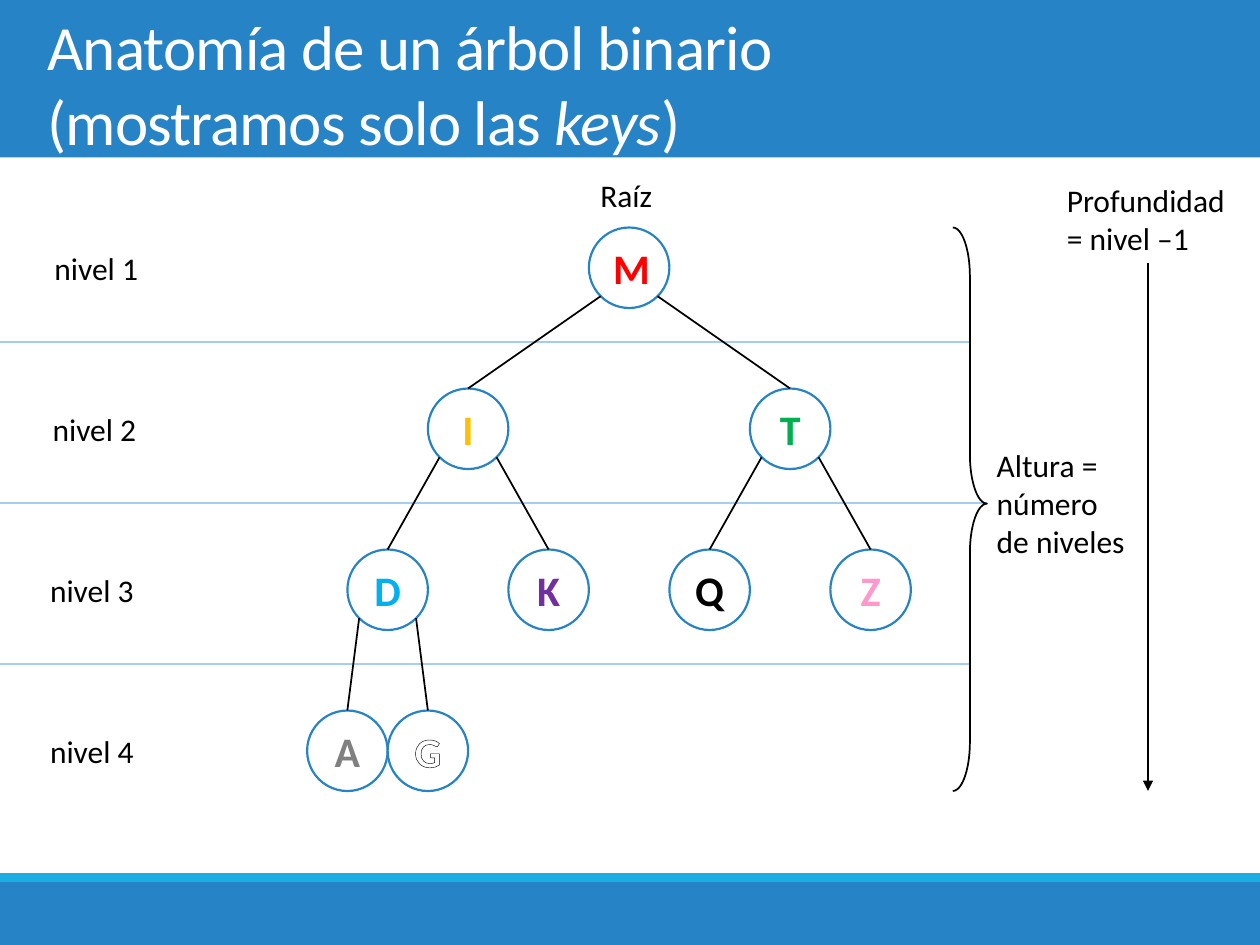
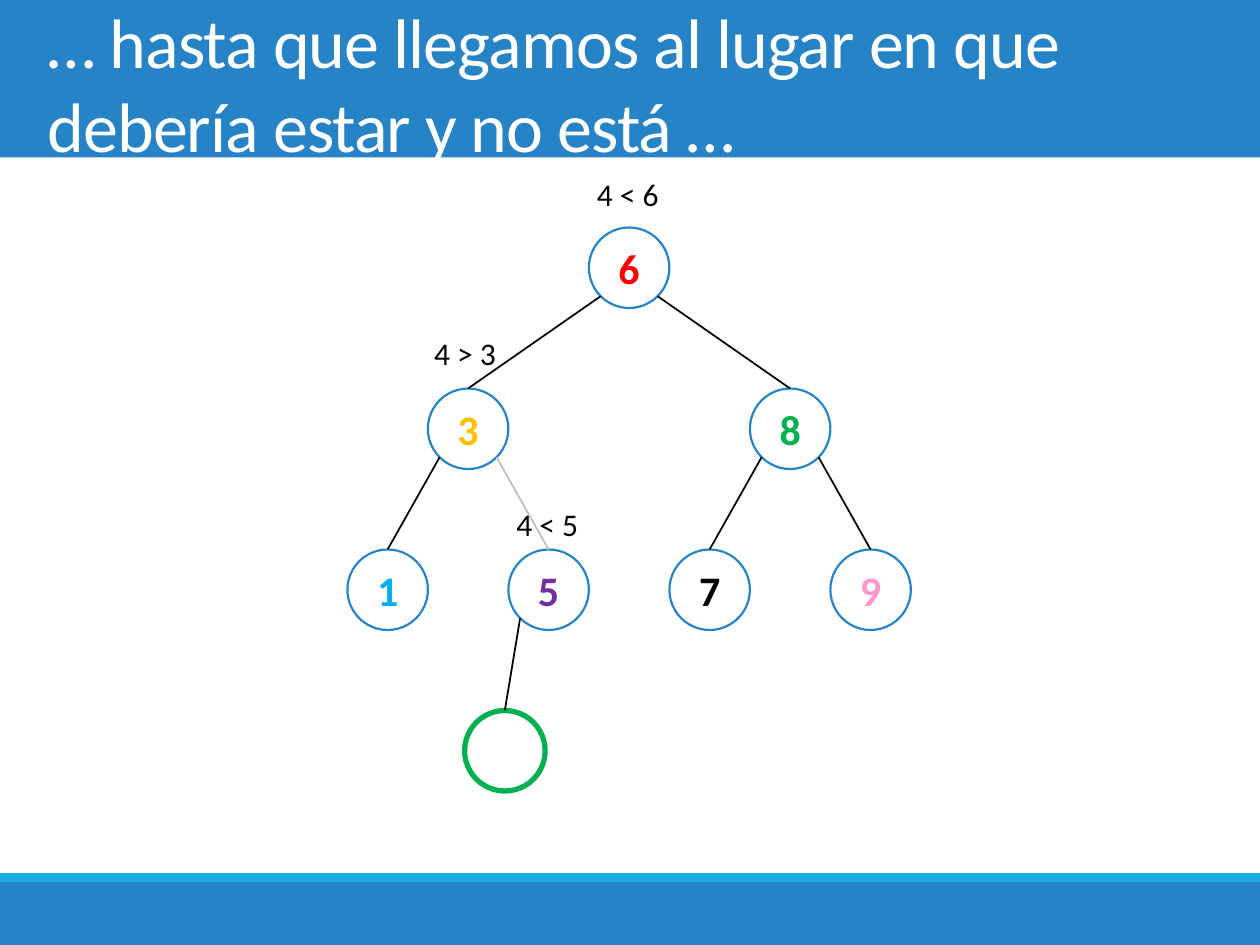
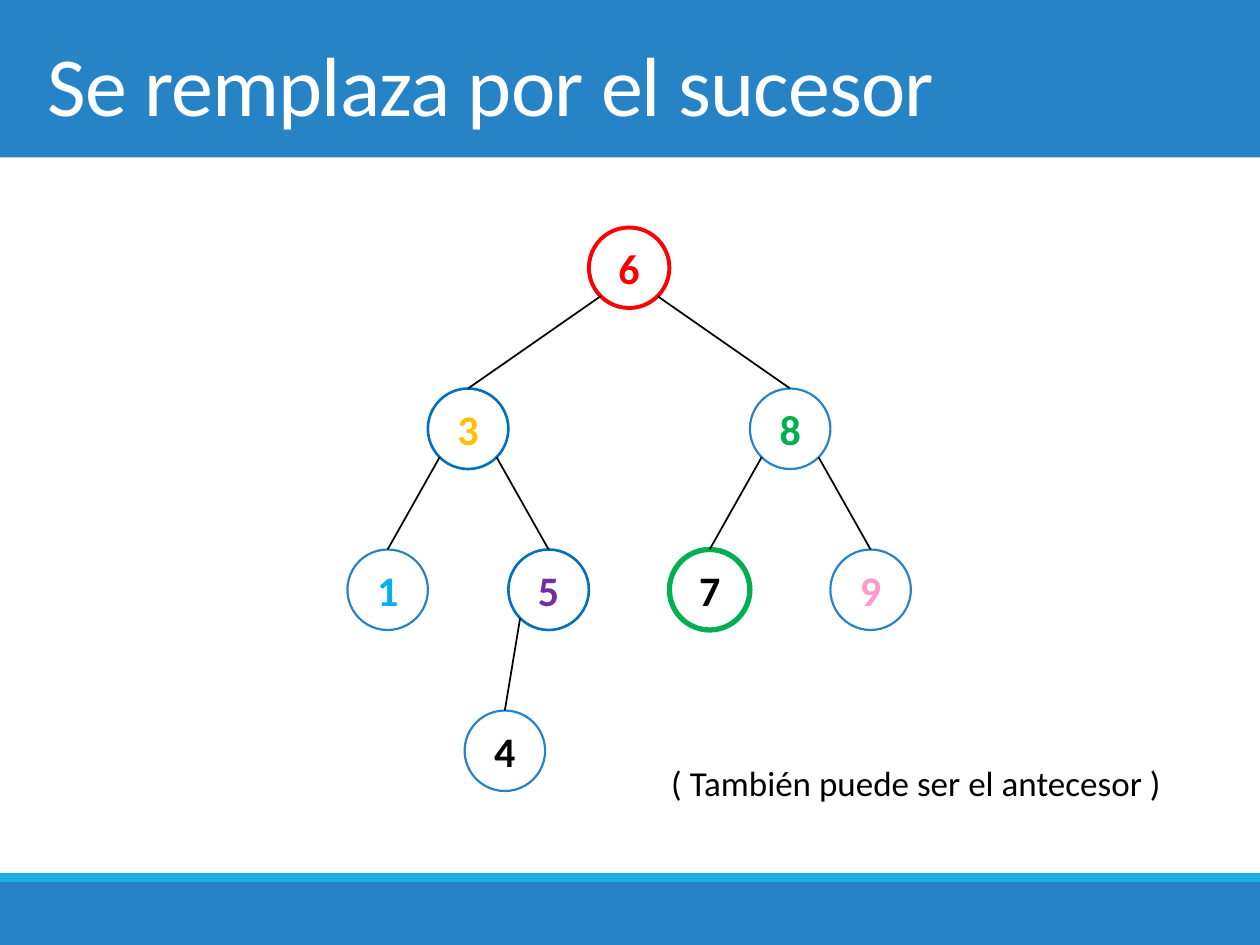
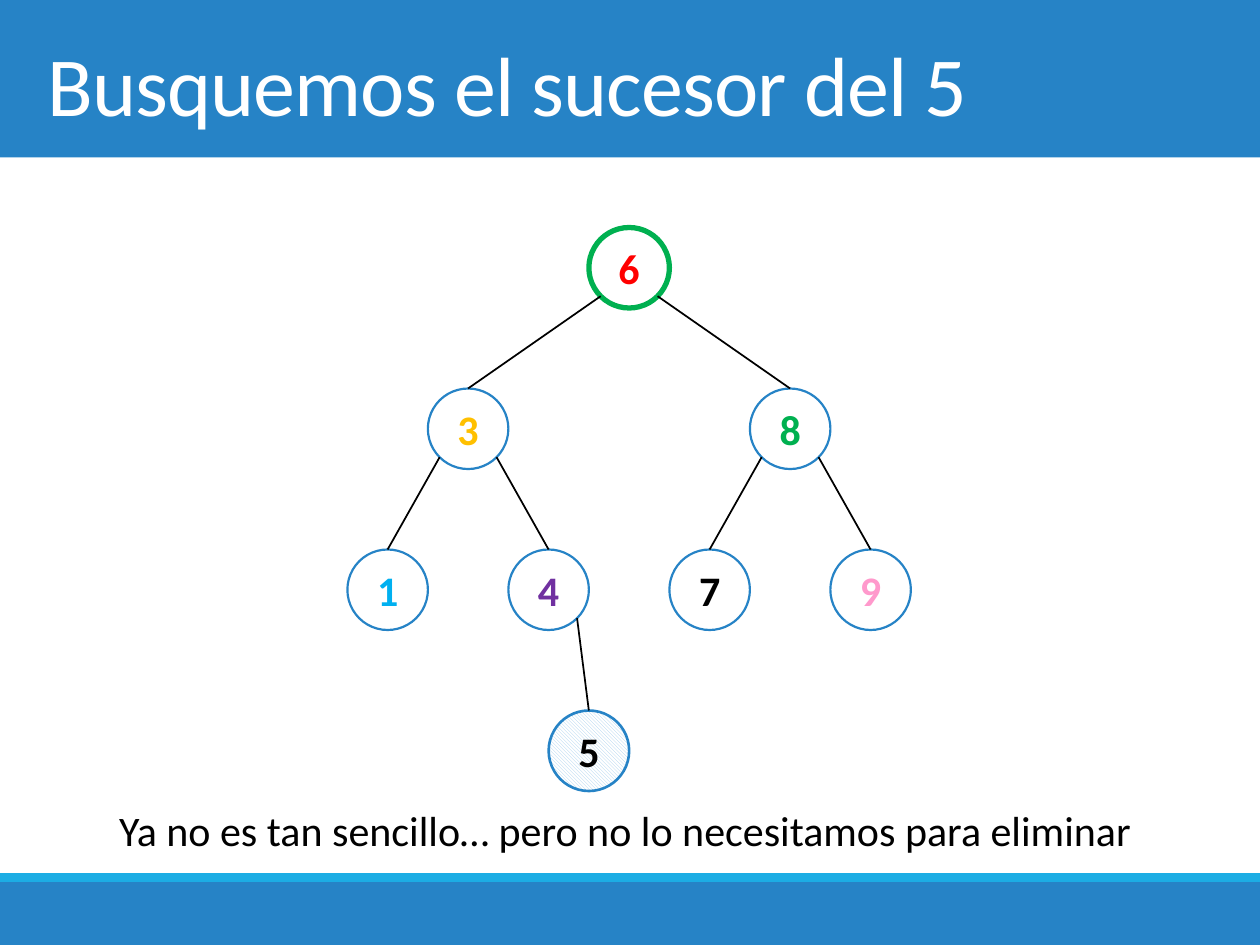
"""Build four slides that explain binary search trees."""

from dataclasses import dataclass

from lxml.etree import SubElement
from pptx import Presentation
from pptx.dml.color import RGBColor
from pptx.enum.dml import MSO_PATTERN
from pptx.enum.shapes import MSO_CONNECTOR, MSO_SHAPE
from pptx.enum.text import MSO_ANCHOR, MSO_AUTO_SIZE, PP_ALIGN
from pptx.oxml import parse_xml
from pptx.oxml.ns import nsdecls, qn
from pptx.util import Pt


@dataclass(frozen=True)
class Theme:
    font: str = "Calibri"
    blue: str = "2683C6"
    cyan: str = "1CADE4"
    pale: str = "A3CEED"
    deep: str = "0070C0"
    white: str = "FFFFFF"
    black: str = "000000"
    red: str = "FF0000"
    green: str = "00B050"
    silver: str = "BFBFBF"
    label: int = 18
    note: int = 20
    key: int = 24
    thin: float = 1
    ring: float = 1.25


THEME = Theme()
KEY_COLOURS = {
    "": THEME.red, "L": "FFC000", "R": THEME.green,
    "LL": "00B0F0", "LR": "7030A0", "RL": THEME.black, "RR": "FF99CC",
    "LLL": "808080", "LLR": THEME.white,
}

WIDTH, HEIGHT = 720, 540
BANDS = [(0, 90, THEME.blue), (504, 36, THEME.blue), (499, 5, THEME.cyan)]
ROOT_X, ROOT_Y, STEP, DIAMETER = 359.5, 153, 92, 46
RADIUS = DIAMETER / 2
CORNER = RADIUS * 0.5 ** 0.5

LEVEL_LEFTS = (24, 23, 21.5, 21.5)
LEVEL_TOP = 139
RULE_TOP, RULE_ENDS = 195.5, (554.5, 564, 554.5)

SLIDES = [
    {
        "title": [("Anatomía de un árbol binario\v(mostramos solo las ", False),
                  ("keys", True), (")", False)],
        "size": 36,
        "levels": True,
        "keys": {"": "M", "L": "I", "R": "T", "LL": "D", "LR": "K",
                 "RL": "Q", "RR": "Z", "LLL": "A", "LLR": "G"},
        "outlined": ["LLR"],
        "labels": [
            (["Raíz"], 336, 97, 45, THEME.label, False),
            (["Altura =", "número", "de niveles"], 562.5, 251.5, 88.5, THEME.label, False),
            (["Profundidad", "= nivel –1"], 602.5, 100, 106, THEME.label, False),
        ],
    },
    {
        "title": [("… hasta que llegamos al lugar en que debería estar y no está …", False)],
        "size": 40,
        "keys": {"": "6", "L": "3", "R": "8", "LL": "1", "LR": "5",
                 "RL": "7", "RR": "9", "LRL": ""},
        "rings": {"LRL": (THEME.green, 3)},
        "edges": {"LR": THEME.silver},
        "shifts": {"LRL": -2},
        "labels": [
            (["4 < 6"], 334, 96.5, 50.5, THEME.label, False),
            (["4 > 3"], 241, 187.5, 50.5, THEME.label, False),
            (["4 < 5"], 288, 285, 50.5, THEME.label, False),
        ],
    },
    {
        "title": [("Se remplaza por el sucesor", False)],
        "size": 48,
        "keys": {"": "6", "L": "3", "R": "8", "LL": "1", "LR": "5",
                 "RL": "7", "RR": "9", "LRL": "4"},
        "rings": {"": (THEME.red, 2.25), "L": (THEME.deep, 1.5),
                  "LR": (THEME.deep, 1.5), "RL": (THEME.green, 3)},
        "shifts": {"LRL": -2},
        "labels": [(["( También puede ser el antecesor )"], 376.5, 431.5, 296, THEME.note, True)],
    },
    {
        "title": [("Busquemos el sucesor del 5", False)],
        "size": 48,
        "keys": {"": "6", "L": "3", "R": "8", "LL": "1", "LR": "4",
                 "RL": "7", "RR": "9", "LRR": "5"},
        "rings": {"": (THEME.green, 3), "LRR": (THEME.blue, 1.5)},
        "hatched": ["LRR"],
        "labels": [(["Ya no es tan sencillo… pero no lo necesitamos para eliminar"],
                    61, 456, 598.5, THEME.key, False)],
    },
]


def rgb(colour):
    return RGBColor.from_string(colour)


def style_span(span, size, colour, bold=False, italic=False):
    font = span.font
    font.name, font.size, font.bold, font.italic = THEME.font, Pt(size), bold, italic
    font.color.rgb = rgb(colour)


def add_shape(page, kind, left, top, width, height, fill=None, line=None):
    shape = page.shapes.add_shape(kind, Pt(left), Pt(top), Pt(width), Pt(height))
    shape.shadow.inherit = False
    if fill:
        shape.fill.solid()
        shape.fill.fore_color.rgb = rgb(fill)
    else:
        shape.fill.background()
    if line:
        colour, weight = line
        shape.line.color.rgb = rgb(colour)
        shape.line.width = Pt(weight)
    else:
        shape.line.fill.background()
    return shape


def add_line(page, start, end, colour=THEME.black, arrow=False):
    points = [Pt(value) for value in (*start, *end)]
    line = page.shapes.add_connector(MSO_CONNECTOR.STRAIGHT, *points)
    line.line.color.rgb = rgb(colour)
    line.line.width = Pt(THEME.thin)
    properties = line._element.spPr
    if arrow:
        SubElement(properties.find(qn("a:ln")), qn("a:tailEnd"), type="triangle")
    SubElement(properties, qn("a:effectLst"))


def add_title(page, parts, size):
    box = page.shapes.add_textbox(Pt(20), 0, Pt(680.5), Pt(90))
    frame = box.text_frame
    frame.word_wrap = True
    frame.vertical_anchor = MSO_ANCHOR.MIDDLE
    frame.margin_top = Pt(8)
    para = frame.paragraphs[0]
    (first, _), *others = parts
    para.text = first
    for span in para.runs:
        style_span(span, size, THEME.white)
    for text, italic in others:
        span = para.add_run()
        span.text = text
        style_span(span, size, THEME.white, italic=italic)
    for span in para.runs:
        span.font._element.set("spc", "-50")


def add_label(page, lines, left, top, width, size, wrap):
    height = round(len(lines) * size * 1.22 + 7.2, 1)
    box = page.shapes.add_textbox(Pt(left), Pt(top), Pt(width), Pt(height))
    frame = box.text_frame
    frame.word_wrap = wrap
    frame.auto_size = MSO_AUTO_SIZE.SHAPE_TO_FIT_TEXT
    frame.text = "\n".join(lines)
    for para in frame.paragraphs:
        for span in para.runs:
            style_span(span, size, THEME.black)


def node_centre(route, shifts):
    x = ROOT_X + shifts.get(route, 0)
    for depth, side in enumerate(route):
        x += (STEP if side == "R" else -STEP) / 2 ** depth
    return x, ROOT_Y + STEP * len(route)


def add_node(page, content, route, key):
    x, y = node_centre(route, content.get("shifts", {}))
    ring = content.get("rings", {}).get(route, (THEME.blue, THEME.ring))
    node = add_shape(page, MSO_SHAPE.OVAL, x - RADIUS, y - RADIUS, DIAMETER, DIAMETER,
                     THEME.white, ring)
    if route in content.get("hatched", []):
        node.fill.patterned()
        node.fill.pattern = MSO_PATTERN.LIGHT_DOWNWARD_DIAGONAL
        node.fill.fore_color.rgb = rgb(THEME.pale)
        node.fill.back_color.rgb = rgb(THEME.white)
    if not key:
        return
    frame = node.text_frame
    frame.text = key
    frame.vertical_anchor = MSO_ANCHOR.MIDDLE
    para = frame.paragraphs[0]
    para.alignment = PP_ALIGN.CENTER
    span = para.runs[0]
    style_span(span, THEME.key, KEY_COLOURS.get(route, THEME.black), bold=True)
    if route in content.get("outlined", []):
        span.font._element.insert(0, parse_xml(
            f'<a:ln {nsdecls("a")} w="{Pt(0.75)}"><a:solidFill>'
            f'<a:srgbClr val="{THEME.black}"/></a:solidFill></a:ln>'))


def add_tree(page, content):
    shifts = content.get("shifts", {})
    for route, key in content["keys"].items():
        add_node(page, content, route, key)
    for route in content["keys"]:
        if route:
            x, y = node_centre(route[:-1], shifts)
            child_x, child_y = node_centre(route, shifts)
            side = CORNER if route[-1] == "R" else -CORNER
            add_line(page, (x + side, y + CORNER), (child_x, child_y - RADIUS),
                     content.get("edges", {}).get(route, THEME.black))


def add_level_rules(page):
    for index, end in enumerate(RULE_ENDS):
        y = RULE_TOP + index * STEP
        add_line(page, (0, y), (end, y), THEME.pale)


def add_level_marks(page):
    for index, left in enumerate(LEVEL_LEFTS):
        add_label(page, [f"nivel {index + 1}"], left, LEVEL_TOP + index * STEP, 62.5,
                  THEME.label, False)
    top, height = ROOT_Y - RADIUS, 3 * STEP + DIAMETER
    brace = add_shape(page, MSO_SHAPE.RIGHT_BRACE, 544.5, top, 19.5, height,
                      line=(THEME.black, THEME.thin))
    brace.adjustments[0] = 1.44
    brace.adjustments[1] = 0.49
    add_line(page, (656, 150.5), (656, top + height), arrow=True)


def add_page(deck, content):
    page = deck.slides.add_slide(deck.slide_layouts[6])
    for top, height, colour in BANDS:
        add_shape(page, MSO_SHAPE.RECTANGLE, 0, top, WIDTH, height, colour)
    if content.get("levels"):
        add_level_rules(page)
    add_title(page, content["title"], content["size"])
    add_tree(page, content)
    if content.get("levels"):
        add_level_marks(page)
    for label in content["labels"]:
        add_label(page, *label)


deck = Presentation()
deck.slide_width, deck.slide_height = Pt(WIDTH), Pt(HEIGHT)
for content in SLIDES:
    add_page(deck, content)
deck.save("out.pptx")
